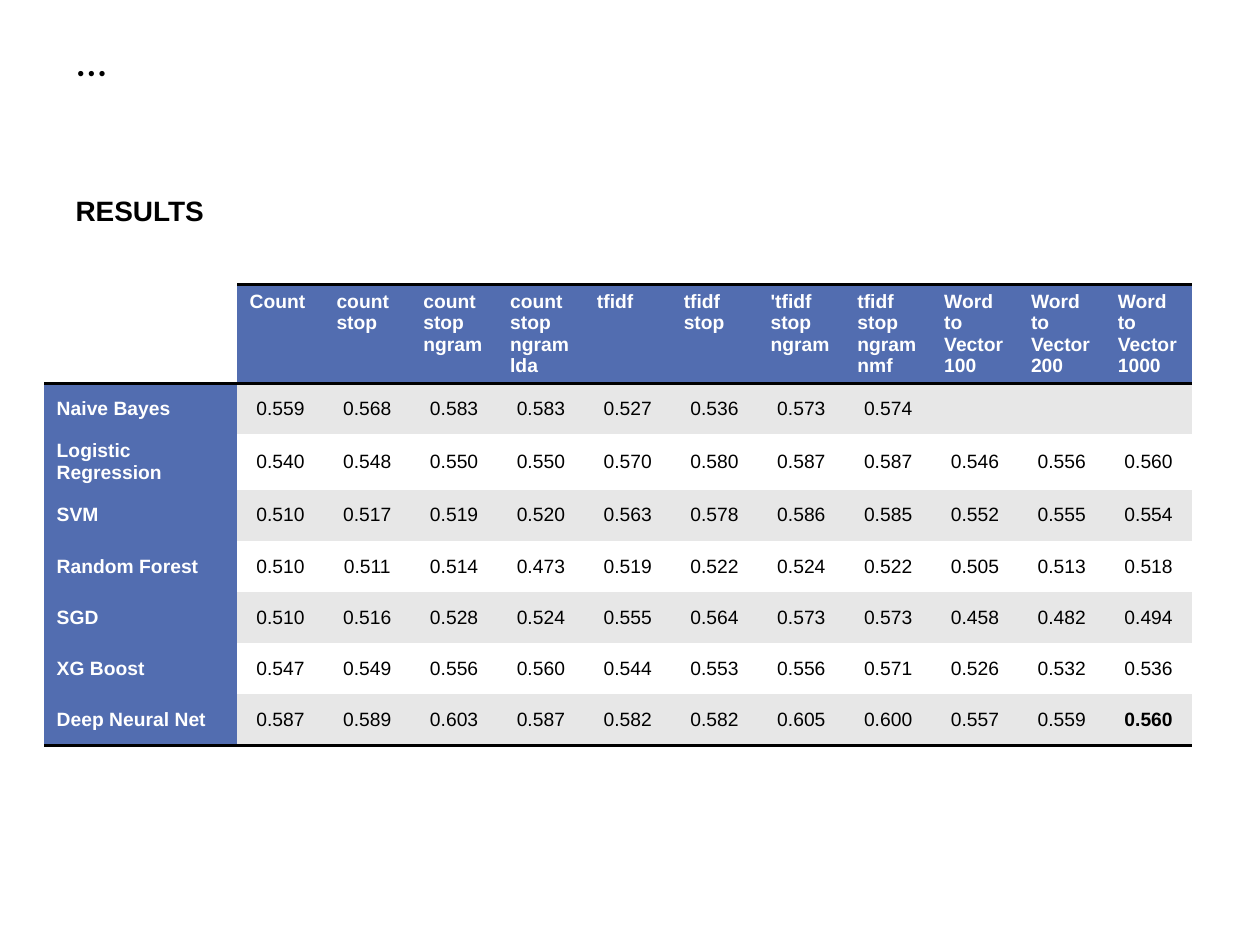
import dataclasses

import pptx
import pptx.dml.color
import pptx.enum.text
import pptx.oxml
import pptx.oxml.ns
import pptx.util

Cm = pptx.util.Cm
Pt = pptx.util.Pt
ALIGN = pptx.enum.text.PP_ALIGN
ANCHOR = pptx.enum.text.MSO_ANCHOR


@dataclasses.dataclass(frozen=True)
class Theme:
    black: str = "000000"
    white: str = "FFFFFF"
    header: str = "526DB0"
    band: str = "E7E7E7"
    title_font: str = "Montserrat"
    body_font: str = "Arial"
    title_size: int = 28
    body_size: int = 16
    table_size: int = 11
    rule_width: int = 2
    plain_table_style: str = "{2D5ABB26-0587-4C30-8999-92F81FD0307C}"


HEADERS = [
    "", "Count", "count stop", "count stop ngram", "count stop ngram lda",
    "tfidf", "tfidf stop", "'tfidf stop ngram", "tfidf stop ngram nmf",
    "Word to Vector100", "Word to Vector200", "Word to Vector1000",
]
SCORES = {
    "Naive Bayes": "0.559 0.568 0.583 0.583 0.527 0.536 0.573 0.574",
    "Logistic Regression": "0.540 0.548 0.550 0.550 0.570 0.580 0.587 0.587 0.546 0.556 0.560",
    "SVM": "0.510 0.517 0.519 0.520 0.563 0.578 0.586 0.585 0.552 0.555 0.554",
    "Random Forest": "0.510 0.511 0.514 0.473 0.519 0.522 0.524 0.522 0.505 0.513 0.518",
    "SGD": "0.510 0.516 0.528 0.524 0.555 0.564 0.573 0.573 0.458 0.482 0.494",
    "XG Boost": "0.547 0.549 0.556 0.560 0.544 0.553 0.556 0.571 0.526 0.532 0.536",
    "Deep Neural Net": "0.587 0.589 0.603 0.587 0.582 0.582 0.605 0.600 0.557 0.559 0.560",
}


class SlideBuilder:
    """Holds the theme and the current slide."""

    def __init__(self, slide, theme):
        self.slide = slide
        self.theme = theme

    def add_text(self, paragraph, text, color, **font_values):
        run = paragraph.add_run()
        run.text = text
        for name, value in font_values.items():
            setattr(run.font, name, value)
        run.font.color.rgb = pptx.dml.color.RGBColor.from_string(color)
        return run

    def placeholder(self, shape, text, box, **font_values):
        for name, value in zip(("left", "top", "width", "height"), box):
            setattr(shape, name, Cm(value))
        frame = shape.text_frame
        frame_format = {
            "vertical_anchor": ANCHOR.TOP,
            "auto_size": pptx.enum.text.MSO_AUTO_SIZE.NONE,
            "word_wrap": True,
        }
        for name, value in frame_format.items():
            setattr(frame, name, value)
        paragraph = frame.paragraphs[0]
        paragraph.alignment = ALIGN.LEFT
        paragraph.space_before = Pt(0)
        # No bullet and no hanging indent
        properties = paragraph._p.get_or_add_pPr()
        properties.set("marL", "0")
        properties.set("indent", "0")
        properties.append(pptx.oxml.parse_xml(f'<a:buNone {pptx.oxml.ns.nsdecls("a")}/>'))
        return self.add_text(paragraph, text, self.theme.black, **font_values)

    def border(self, cell, sides):
        properties = cell._tc.get_or_add_tcPr()
        for index, side in enumerate(sides):
            properties.insert(index, pptx.oxml.parse_xml(
                f'<a:ln{side} {pptx.oxml.ns.nsdecls("a")} w="{Pt(self.theme.rule_width)}">'
                f'<a:solidFill><a:srgbClr val="{self.theme.black}"/></a:solidFill></a:ln{side}>'))

    def cell(self, cell, text, fill, color, bold, alignment, anchor, sides):
        cell.fill.solid()
        cell.fill.fore_color.rgb = pptx.dml.color.RGBColor.from_string(fill)
        cell.vertical_anchor = anchor
        self.border(cell, sides)
        if text:
            paragraph = cell.text_frame.paragraphs[0]
            paragraph.alignment = alignment
            self.add_text(paragraph, text, color, name=self.theme.body_font,
                          size=Pt(self.theme.table_size), bold=bold)

    def table(self, rows, left, top, label_width, score_width, row_height):
        theme = self.theme
        row_count, column_count = len(rows), len(rows[0])
        width = label_width + score_width * (column_count - 1)
        frame = self.slide.shapes.add_table(
            row_count, column_count, Cm(left), Cm(top), Cm(width), Cm(row_height * row_count))
        table = frame.table
        table.first_row = table.horz_banding = False
        style = table._tbl.tblPr.find(pptx.oxml.ns.qn("a:tableStyleId"))
        style.text = theme.plain_table_style
        for index, column in enumerate(table.columns):
            column.width = Cm(score_width if index else label_width)

        for row_index, values in enumerate(rows):
            is_header, is_last = row_index == 0, row_index == row_count - 1
            for column_index, text in enumerate(values):
                is_label = column_index == 0
                is_heading = is_header or is_label
                if is_header and is_label:
                    fill = theme.white
                elif is_heading:
                    fill = theme.header
                else:
                    fill = theme.band if row_index % 2 else theme.white
                sides = "TB" if is_header and not is_label else "B" if is_header or is_last else ""
                # The final score is emphasised
                is_final = is_last and column_index == column_count - 1
                self.cell(
                    table.cell(row_index, column_index), text, fill,
                    color=theme.white if is_heading else theme.black,
                    bold=is_heading or is_final,
                    alignment=ALIGN.LEFT if is_heading else ALIGN.CENTER,
                    anchor=ANCHOR.TOP if is_header else ANCHOR.MIDDLE,
                    sides=sides)


def main():
    presentation = pptx.Presentation()
    presentation.slide_width = Cm(25.4)
    presentation.slide_height = Cm(19.05)
    slide = presentation.slides.add_slide(presentation.slide_layouts[1])
    theme = Theme()
    builder = SlideBuilder(slide, theme)

    # Title and section heading
    title_run = builder.placeholder(
        slide.shapes.title, "…", (1.27, 0.43, 22.38, 2.9),
        name=theme.title_font, size=Pt(theme.title_size))
    title_run._r.get_or_add_rPr().set("spc", "-60")
    builder.placeholder(
        slide.placeholders[1], "RESULTS", (1.27, 3.78, 22.38, 1.75),
        name=theme.body_font, size=Pt(theme.body_size), bold=True)

    # Scores by model and feature set; missing scores stay empty
    rows = [HEADERS]
    for model, scores in SCORES.items():
        values = [model, *scores.split()]
        rows.append(values + [""] * (len(HEADERS) - len(values)))
    builder.table(rows, left=0.89, top=5.74, label_width=3.89, score_width=1.75, row_height=1.03)

    presentation.save("out.pptx")


if __name__ == "__main__":
    main()
